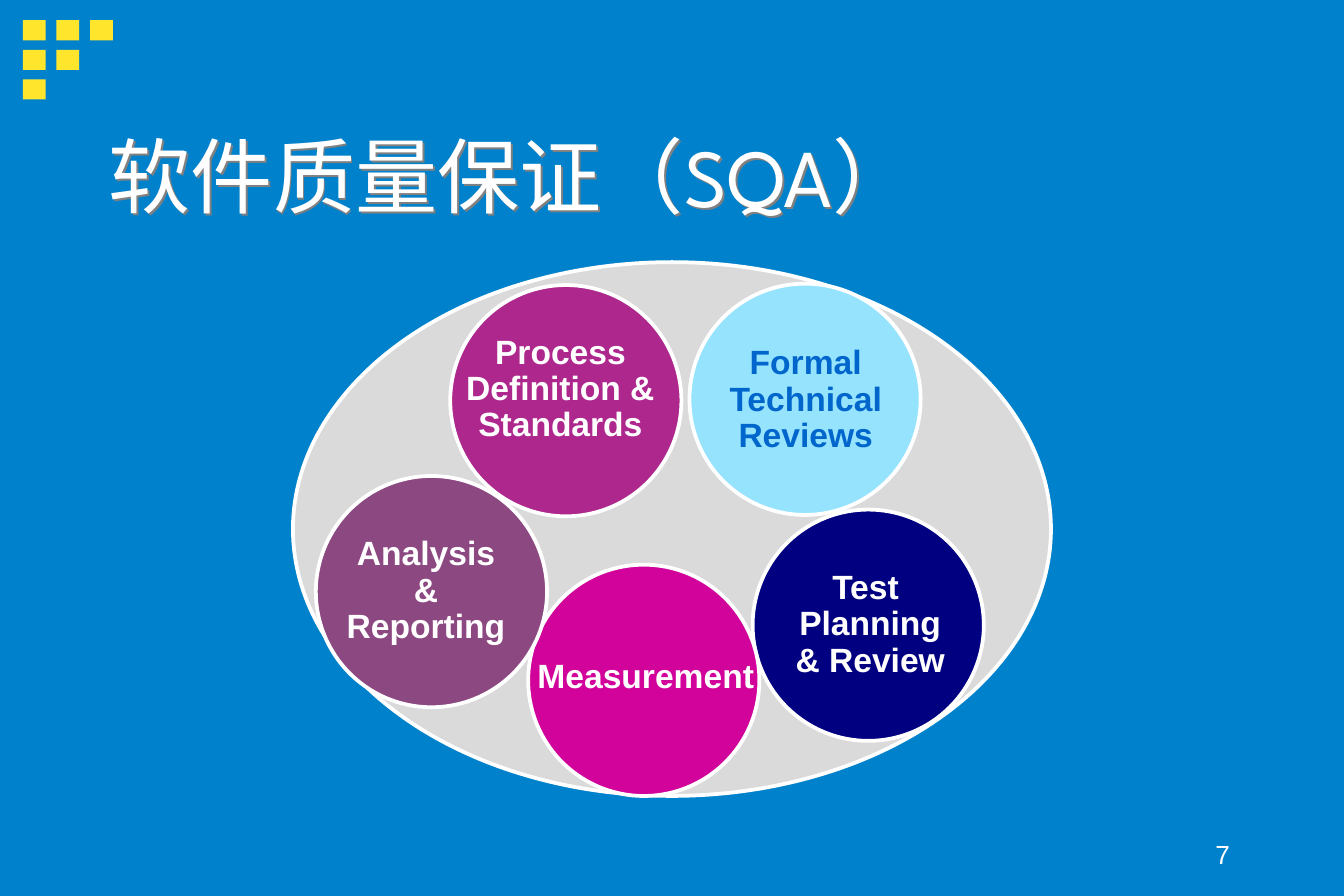
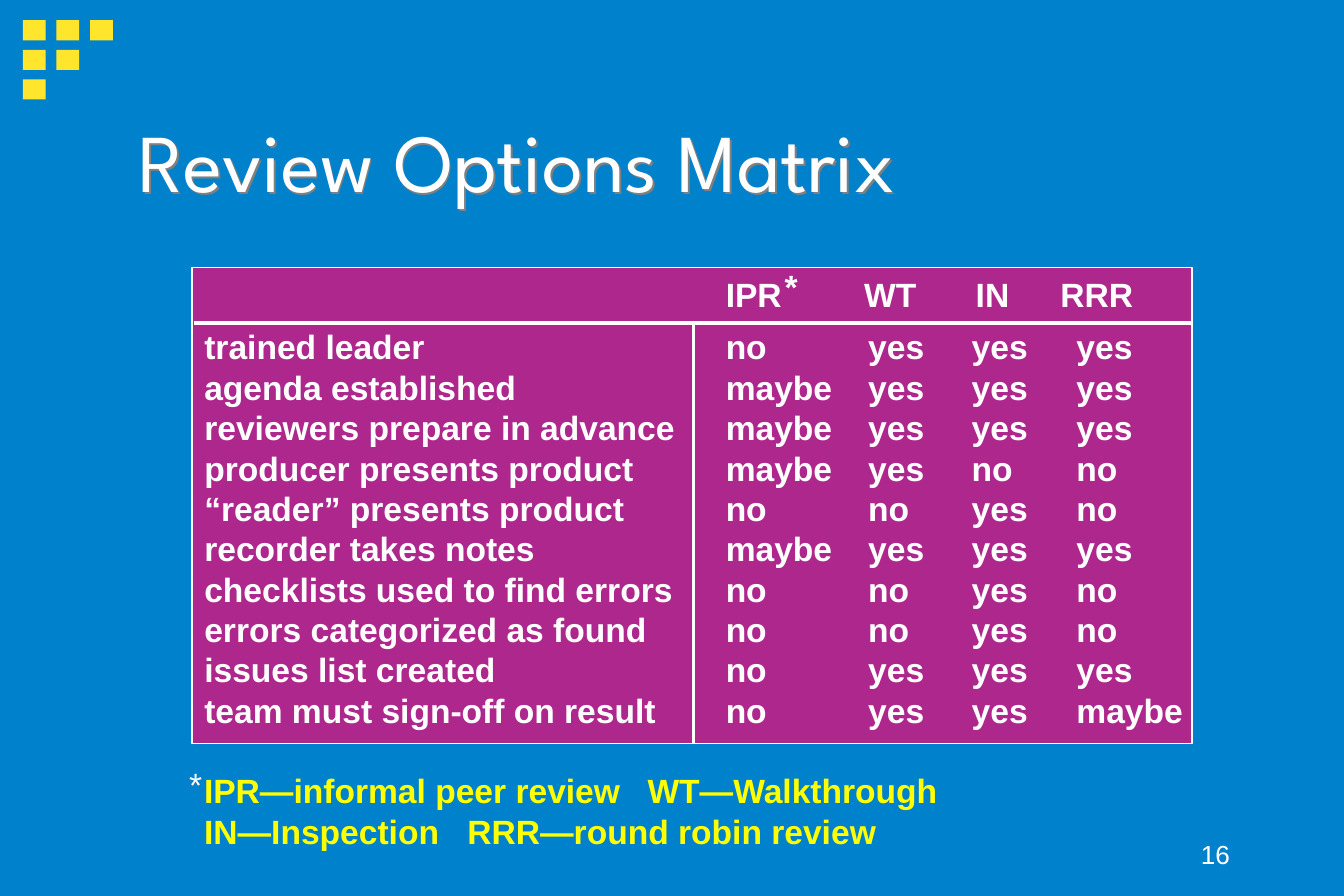
from dataclasses import dataclass

from lxml import etree
from pptx import Presentation
from pptx.dml.color import RGBColor
from pptx.enum.shapes import MSO_CONNECTOR, MSO_SHAPE
from pptx.enum.text import MSO_ANCHOR, PP_ALIGN
from pptx.oxml import parse_xml
from pptx.oxml.ns import nsdecls, qn
from pptx.util import Inches, Pt

RECT, OVAL = MSO_SHAPE.RECTANGLE, MSO_SHAPE.OVAL
STRAIGHT = MSO_CONNECTOR.STRAIGHT
LEFT, CENTER, RIGHT = PP_ALIGN.LEFT, PP_ALIGN.CENTER, PP_ALIGN.RIGHT
TOP, MIDDLE, BOTTOM = MSO_ANCHOR.TOP, MSO_ANCHOR.MIDDLE, MSO_ANCHOR.BOTTOM
PX = 9144  # 100 px to the inch


@dataclass(frozen=True)
class Theme:
    background: str = "0081CB"
    square: str = "FFE62D"
    white: str = "FFFFFF"
    oval: str = "DADADA"
    purple: str = "AD278D"
    sky: str = "96E3FE"
    navy: str = "000080"
    pink: str = "D1039B"
    plum: str = "8C4881"
    blue: str = "0066CC"
    legend: str = "FFFF00"
    shadow: str = "808080"
    title_font: str = "League Spartan"
    body_font: str = "Arial"
    title_size: int = 44
    body_size: int = 18
    number_size: int = 14
    leading: float = 1.2


THEME = Theme()
TITLE = {"name": THEME.title_font, "size": Pt(THEME.title_size)}
BODY = {"name": THEME.body_font, "size": Pt(THEME.body_size), "bold": True}
PLAIN = {**BODY, "bold": False}
NUMBER = {**PLAIN, "size": Pt(THEME.number_size)}
NO_STYLE_NO_GRID = "{2D5ABB26-0587-4C30-8999-92F81FD0307C}"


def draw(slide, kind, at, fill, outline=0):
    """Add a preset shape with a flat fill and an optional white outline."""
    shape = slide.shapes.add_shape(kind, *[v * PX for v in at])
    shape.shadow.inherit = False
    shape.fill.solid()
    shape.fill.fore_color.rgb = RGBColor.from_string(fill)
    if outline:
        shape.line.color.rgb = RGBColor.from_string(THEME.white)
        shape.line.width = Pt(outline)
    else:
        shape.line.fill.background()


def write(frame, text, font, color=THEME.white, align=LEFT, tight=1, **layout):
    """Fill a text frame, one paragraph for each line of text."""
    for name, value in layout.items():
        setattr(frame, name, value)
    frame.text = text
    for paragraph in frame.paragraphs:
        paragraph.alignment = align
        paragraph.line_spacing = Pt(font["size"].pt * THEME.leading * tight)
        for run in paragraph.runs:
            for name, value in font.items():
                setattr(run.font, name, value)
            run.font.color.rgb = RGBColor.from_string(color)


prs = Presentation()
# The page is a hair taller than 666 px
prs.slide_width, prs.slide_height = 1000 * PX, Inches(6.66) + Pt(0.3)

# Shared frame: background, corner squares, page number, title
pages = [
    ("7", "软件质量保证（SQA）", (74, 90, 637, 152),
     {"vertical_anchor": TOP, "margin_left": 7 * PX, "margin_right": 7 * PX,
      "margin_top": 3 * PX, "margin_bottom": 3 * PX}),
    ("16", "Review Options Matrix", (93, 76, 783, 86), {"vertical_anchor": MIDDLE}),
]
slides = []
for number, title, title_at, title_layout in pages:
    slide = prs.slides.add_slide(prs.slide_layouts[6])
    slides.append(slide)
    slide.background.fill.solid()
    slide.background.fill.fore_color.rgb = RGBColor.from_string(THEME.background)
    for row in range(3):
        for col in range(3 - row):
            draw(slide, RECT, (17 + 25 * col, 15 + 22 * row, 17, 15), THEME.square)
    number_box = slide.shapes.add_textbox(717 * PX, 608 * PX, 208 * PX, 44 * PX)
    write(number_box.text_frame, number, NUMBER, align=RIGHT,
          word_wrap=True, vertical_anchor=BOTTOM)
    title_box = slide.shapes.add_textbox(*[v * PX for v in title_at])
    write(title_box.text_frame, title, TITLE, word_wrap=True, **title_layout)
    title_box._element.spPr.append(parse_xml(
        f'<a:effectLst {nsdecls("a")}><a:outerShdw dist="{2 * PX}" dir="2700000">'
        f'<a:srgbClr val="{THEME.shadow}"/></a:outerShdw></a:effectLst>'))

sqa, matrix = slides

# SQA activities: circles on a large oval
draw(sqa, OVAL, (218, 195, 564, 397), THEME.oval, 2)
activities = [
    ("Formal\nTechnical\nReviews", (513, 211), THEME.sky, THEME.blue, (532, 252, 135, 91)),
    ("Test \nPlanning\n& Review", (560, 379), THEME.navy, THEME.white, (582, 419, 131, 91)),
    ("Measurement", (393, 420), THEME.pink, THEME.white, (390, 485, 181, 37)),
    ("Analysis\n&\nReporting", (235, 354), THEME.plum, THEME.white, (248, 394, 138, 91)),
    ("Process\nDefinition &\nStandards", (335, 212), THEME.purple, THEME.white,
     (337, 244, 160, 91)),
]
for activity, corner, fill, color, label_at in activities:
    draw(sqa, OVAL, (*corner, 172, 172), fill, 2)
    label = sqa.shapes.add_textbox(*[v * PX for v in label_at])
    write(label.text_frame, activity, BODY, color, CENTER, tight=0.9, word_wrap=False)

# Review matrix: panel, table, rules
draw(matrix, RECT, (143, 199, 744, 354), THEME.purple, 1)
options = [
    ("", "IPR", "WT", "IN", "RRR"),
    ("trained leader", "no", "yes", "yes", "yes"),
    ("agenda established", "maybe", "yes", "yes", "yes"),
    ("reviewers prepare in advance", "maybe", "yes", "yes", "yes"),
    ("producer presents product", "maybe", "yes", "no", "no"),
    ("“reader” presents product", "no", "no", "yes", "no"),
    ("recorder takes notes", "maybe", "yes", "yes", "yes"),
    ("checklists used to find errors", "no", "no", "yes", "no"),
    ("errors categorized as found", "no", "no", "yes", "no"),
    ("issues list created", "no", "yes", "yes", "yes"),
    ("team must sign-off on result", "no", "yes", "yes", "maybe"),
]
column_widths = (388, 103, 80, 66, 108)
header_indents = (10, 10, 10, 13, 10)
body_indents = (10, 10, 13, 10, 22)
header_height, row_height = 44, 30
table_height = header_height + row_height * (len(options) - 1)
table = matrix.shapes.add_table(
    len(options), len(column_widths), 142 * PX, 199 * PX,
    sum(column_widths) * PX, table_height * PX).table
table.first_row = table.horz_banding = False
table._tbl.tblPr.find(qn("a:tableStyleId")).text = NO_STYLE_NO_GRID
for column, width in zip(table.columns, column_widths):
    column.width = width * PX
for r, option in enumerate(options):
    table.rows[r].height = (row_height if r else header_height) * PX
    indents = body_indents if r else header_indents
    for c, value in enumerate(option):
        cell = table.cell(r, c)
        cell.fill.background()
        cell.margin_left = indents[c] * PX
        cell.margin_top = 0 if r else 5 * PX
        cell.margin_right = cell.margin_bottom = 0
        write(cell.text_frame, value, BODY)

for x1, y1, x2, y2 in [(144, 240, 887, 240), (516, 240, 516, 553)]:
    rule = matrix.shapes.add_connector(STRAIGHT, x1 * PX, y1 * PX, x2 * PX, y2 * PX)
    rule.line.color.rgb = RGBColor.from_string(THEME.white)
    rule.line.width = Pt(2)
    etree.SubElement(rule._element.spPr, qn("a:effectLst"))

# Footnote marks and legend
for x, y, font in [(574, 193, BODY), (131, 563, PLAIN)]:
    mark = matrix.shapes.add_textbox(x * PX, y * PX, 30 * PX, 40 * PX)
    write(mark.text_frame, "*", font, word_wrap=False)
legend = matrix.shapes.add_textbox(142 * PX, 568 * PX, 600 * PX, 70 * PX)
write(legend.text_frame, "IPR—informal peer review\tWT—Walkthrough\n"
      "IN—Inspection\tRRR—round robin review", BODY, THEME.legend, word_wrap=True)
for paragraph, stop in zip(legend.text_frame.paragraphs, (330, 196)):
    paragraph._p.get_or_add_pPr().append(parse_xml(
        f'<a:tabLst {nsdecls("a")}><a:tab pos="{stop * PX}" algn="l"/></a:tabLst>'))

prs.save("out.pptx")
